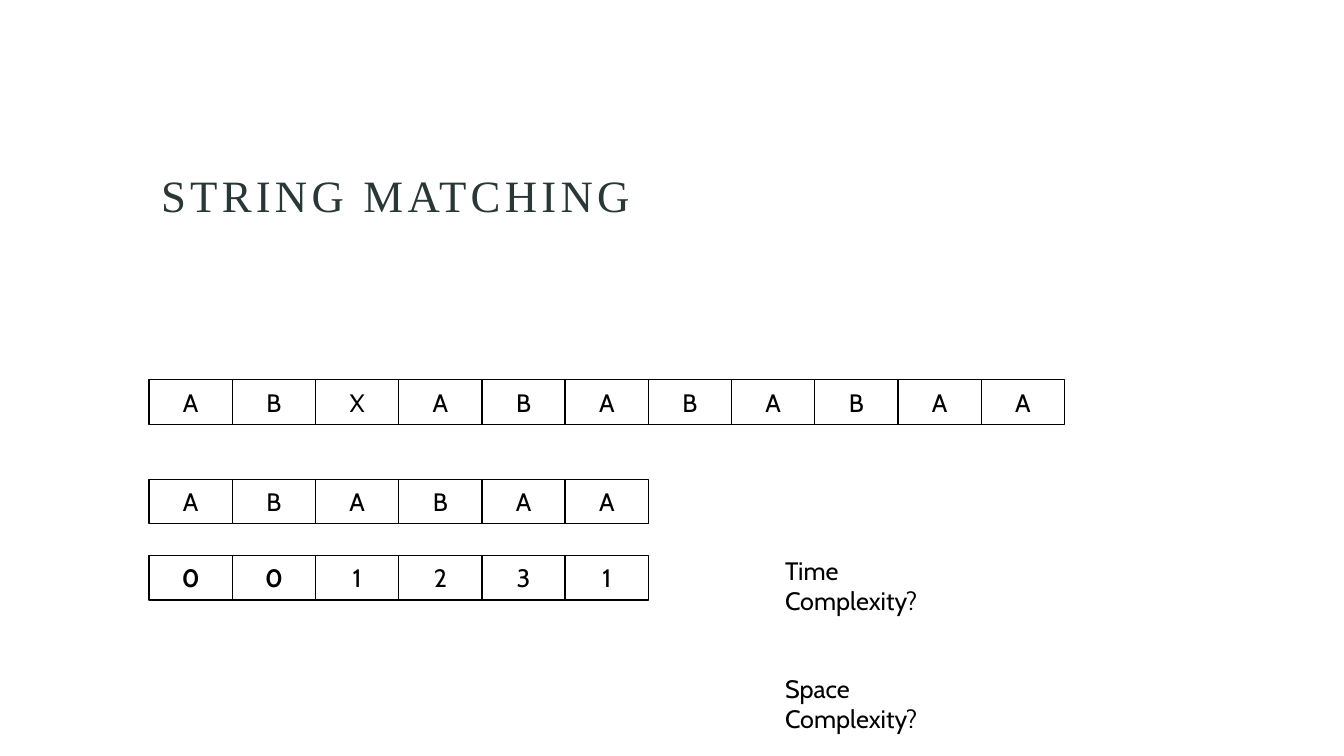
from dataclasses import dataclass

import pptx
import pptx.dml.color
import pptx.enum.shapes
import pptx.enum.text
import pptx.util
from pptx.shapes.autoshape import Shape
from pptx.slide import Slide

Pt = pptx.util.Pt
RGB = pptx.dml.color.RGBColor
Align = pptx.enum.text.PP_ALIGN
Anchor = pptx.enum.text.MSO_ANCHOR


@dataclass(frozen=True)
class Theme:
    title_font: str = "Times New Roman"
    body_font: str = "Cabin"
    title_size: float = 32
    body_size: float = 18
    title_color: RGB = RGB(0x29, 0x37, 0x37)
    ink: RGB = RGB(0, 0, 0)
    paper: RGB = RGB(255, 255, 255)


@dataclass(frozen=True)
class CellRow:
    top: float
    symbols: str
    bold_symbols: str = ""


@dataclass(frozen=True)
class Label:
    text: str
    top: float
    width: float


THEME = Theme()
ROW_LEFT = 106.5
CELL_WIDTH = 59.44
CELL_HEIGHT = 31.8
LABEL_LEFT = 553.7
LABEL_HEIGHT = 29

ROWS = [
    CellRow(271.3, "ABXABABABAA"),
    CellRow(342.4, "ABABAA"),
    CellRow(396.7, "001231", bold_symbols="0"),
]
LABELS = [
    Label("Time Complexity?", 393, 149),
    Label("Space Complexity?", 477.4, 149),
]


def write_text(
    s: Shape,
    text: str,
    *,
    font: str = THEME.body_font,
    size: float = THEME.body_size,
    color: RGB = THEME.ink,
    bold: bool = False,
    align: Align = Align.LEFT,
    anchor: Anchor = Anchor.TOP,
    line_spacing: float = 1.0,
    letter_spacing: float = 0,
) -> None:
    tf = s.text_frame
    tf.word_wrap = True
    tf.vertical_anchor = anchor
    p = tf.paragraphs[0]
    p.alignment = align
    p.line_spacing = line_spacing
    r = p.add_run()
    r.text = text
    r.font.name = font
    r.font.size = Pt(size)
    r.font.bold = bold
    r.font.color.rgb = color
    if letter_spacing:
        r.font._element.set("spc", str(round(letter_spacing * 100)))


def add_text_box(slide: Slide, left: float, top: float, width: float, height: float) -> Shape:
    return slide.shapes.add_textbox(Pt(left), Pt(top), Pt(width), Pt(height))


def draw_row(slide: Slide, row: CellRow) -> None:
    for i, symbol in enumerate(row.symbols):
        s = slide.shapes.add_shape(
            pptx.enum.shapes.MSO_SHAPE.RECTANGLE,
            Pt(ROW_LEFT + i * CELL_WIDTH),
            Pt(row.top),
            Pt(CELL_WIDTH),
            Pt(CELL_HEIGHT),
        )
        s.shadow.inherit = False
        s.fill.solid()
        s.fill.fore_color.rgb = THEME.paper
        s.line.color.rgb = THEME.ink
        s.line.width = Pt(1)
        write_text(
            s,
            symbol,
            bold=symbol in row.bold_symbols,
            align=Align.CENTER,
            anchor=Anchor.MIDDLE,
        )


def draw_label(slide: Slide, label: Label) -> None:
    s = add_text_box(slide, LABEL_LEFT, label.top, label.width, LABEL_HEIGHT)
    write_text(s, label.text)


def draw_title(slide: Slide, text: str) -> None:
    s = add_text_box(slide, 108, 54, 747, 108)
    write_text(
        s,
        text,
        font=THEME.title_font,
        size=THEME.title_size,
        color=THEME.title_color,
        anchor=Anchor.BOTTOM,
        line_spacing=0.9,
        letter_spacing=3,
    )


def main() -> None:
    prs = pptx.Presentation()
    prs.slide_width = Pt(960)
    prs.slide_height = Pt(540)
    slide = prs.slides.add_slide(prs.slide_layouts[6])
    draw_title(slide, "STRING MATCHING")
    for row in ROWS:
        draw_row(slide, row)
    for label in LABELS:
        draw_label(slide, label)
    prs.save("out.pptx")


if __name__ == "__main__":
    main()
